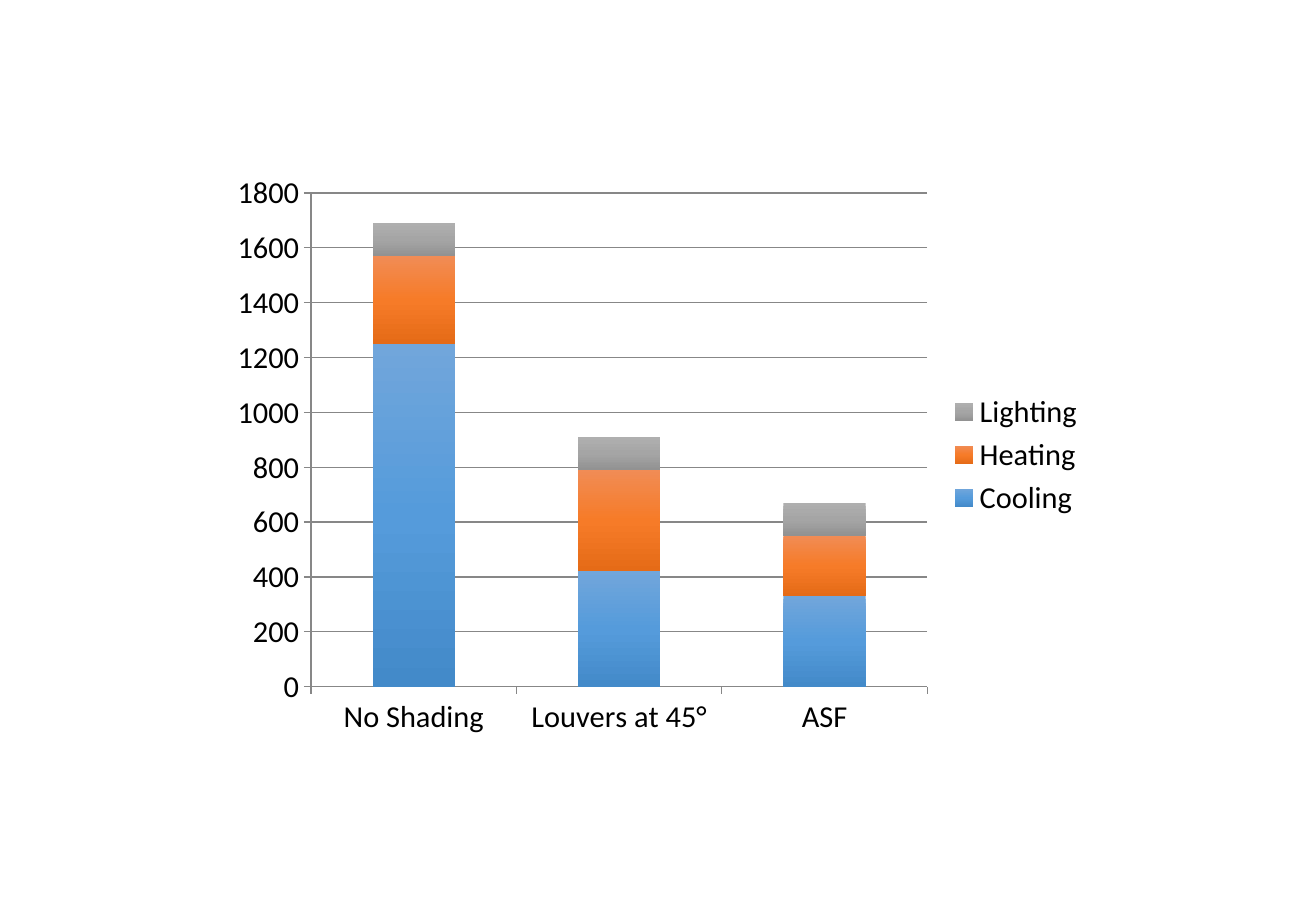
"""Build a slide with a stacked column chart of energy use by shading type."""
from copy import deepcopy
from typing import NamedTuple

from pptx import Presentation
from pptx import util as u
from pptx.chart.chart import Chart
from pptx.chart.data import CategoryChartData
from pptx.dml.color import RGBColor
from pptx.dml.line import LineFormat
from pptx.enum import chart as ch
from pptx.oxml.ns import qn

SCALE = 914400 / 121.5
GREY = "878787"


class Load(NamedTuple):
    """One energy load: its values and its colours from top to bottom."""
    name: str
    vals: tuple[int, ...]
    tones: tuple[str, str, str]


CASES = ("No Shading", "Louvers at 45°", "ASF")
LOADS = (
    Load("Cooling", (1250, 420, 330), ("71A6DB", "559BDB", "438AC9")),
    Load("Heating", (320, 370, 220), ("F18C55", "F67B28", "E56B17")),
    Load("Lighting", (120, 120, 120), ("AFAFAF", "A5A5A5", "929292")),
)


def px(size: int) -> u.Emu:
    """Turn pixels into EMU."""
    return u.Emu(round(size * SCALE))


def rgb(tone: str) -> RGBColor:
    """Turn a hex string into a colour."""
    return RGBColor.from_string(tone)


def rule(line: LineFormat) -> None:
    """Make a thin grey line."""
    line.color.rgb = rgb(GREY)
    line.width = u.Pt(0.75)


def shade(bar, tones: tuple[str, str, str]) -> None:
    """Fill a series with a three-tone gradient from top to bottom."""
    fill = bar.format.fill
    fill.gradient()
    fill.gradient_angle = 270
    stops = bar._element.find(".//" + qn("a:gsLst"))
    stops.insert(1, deepcopy(stops[0]))
    for stop, tone, place in zip(fill.gradient_stops, tones, (0, 0.5, 1)):
        stop.color.rgb = rgb(tone)
        stop.position = place


def style(chart: Chart) -> None:
    """Set the text, axes, legend and bars of the chart."""
    chart.has_title = False
    chart.font.name = "Calibri"
    chart.font.size = u.Pt(18)
    chart.font.color.rgb = rgb("000000")
    chart.has_legend = True
    chart.legend.position = ch.XL_LEGEND_POSITION.RIGHT
    chart.legend.include_in_layout = False

    scale = chart.value_axis
    scale.minimum_scale, scale.maximum_scale, scale.major_unit = 0, 1800, 200
    scale.has_major_gridlines = True
    rule(scale.major_gridlines.format.line)
    for axis in (chart.category_axis, scale):
        axis.major_tick_mark = ch.XL_TICK_MARK.OUTSIDE
        axis.minor_tick_mark = ch.XL_TICK_MARK.NONE
        rule(axis.format.line)

    plot = chart.plots[0]
    plot.gap_width, plot.overlap = 150, 100
    plot.vary_by_categories = False
    for bar, load in zip(plot.series, LOADS):
        shade(bar, load.tones)


def main() -> None:
    """Build and save the slide."""
    deck = Presentation()
    deck.slide_width, deck.slide_height = px(1316), px(911)
    slide = deck.slides.add_slide(deck.slide_layouts[6])
    data = CategoryChartData()
    data.categories = CASES
    for load in LOADS:
        data.add_series(load.name, load.vals)
    frame = slide.shapes.add_chart(
        ch.XL_CHART_TYPE.COLUMN_STACKED,
        px(220), px(163), px(877), px(584), data)
    style(frame.chart)
    deck.save("out.pptx")


main()
